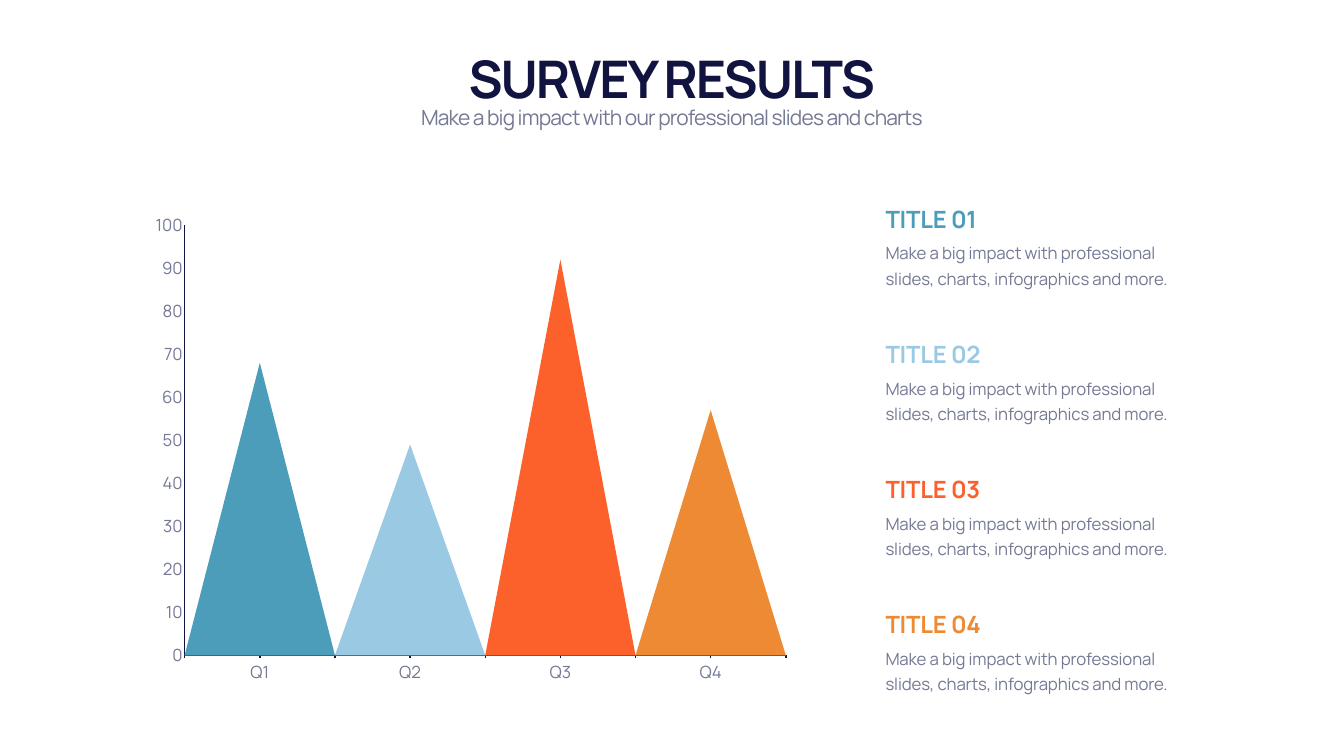
from lxml import etree
from pptx import Presentation
from pptx.chart.data import CategoryChartData
from pptx.dml.color import RGBColor
from pptx.enum.chart import XL_CHART_TYPE as ChartType, XL_TICK_MARK as TickMark
from pptx.enum.text import MSO_ANCHOR as Anchor, MSO_AUTO_SIZE as AutoSize, PP_ALIGN as Align
from pptx.oxml.ns import qn
from pptx.util import Cm, Pt

FONT = "Manrope"
NAVY, GREY = "111340", "747994"

HEADING = "SURVEY RESULTS"
SUBHEADING = "Make a big impact with our professional slides and charts"
DESCRIPTION = "Make a big impact with professional slides, charts, infographics and more."
# (category, value, colour, title)
QUARTERS = [
    ("Q1", 68, "4B9DB9", "TITLE 01"),
    ("Q2", 49, "9AC9E3", "TITLE 02"),
    ("Q3", 92, "FC612B", "TITLE 03"),
    ("Q4", 57, "ED8A33", "TITLE 04"),
]

HEADER_LEFT, HEADER_WIDTH = 4.22, 59.26
LEGEND_LEFT, LEGEND_TOP, LEGEND_WIDTH, LEGEND_PITCH = 44.37, 10.06, 16.23, 6.81
CHART_BOX = (7.19, 10.29, 33.07, 24.66)
PLOT_LAYOUT = {"x": 0.064, "y": 0.043, "w": 0.916, "h": 0.879}  # fractions of the chart


def rgb(colour):
    return RGBColor.from_string(colour)


def style_font(font, size, colour, bold=False):
    font.name, font.size, font.bold = FONT, Pt(size), bold
    font.color.rgb = rgb(colour)


def add_text(slide, text, box, *, size, colour=GREY, bold=False, spacing=0,
             align=Align.LEFT, anchor=Anchor.TOP, line=None, inset=0):
    """Add a text box; box is in cm, spacing and line are in points."""
    frame = slide.shapes.add_textbox(*map(Cm, box)).text_frame
    frame.word_wrap = True
    frame.auto_size = AutoSize.SHAPE_TO_FIT_TEXT
    frame.vertical_anchor = anchor
    frame.margin_top = frame.margin_bottom = Cm(inset)
    paragraph = frame.paragraphs[0]
    paragraph.alignment = align
    if line:
        paragraph.line_spacing = Pt(line)
    run = paragraph.add_run()
    run.text = text
    style_font(run.font, size, colour, bold)
    run.font._element.set("spc", str(round(spacing * 100)))


def set_plot_layout(chart):
    """Fix the inner plot area as fractions of the chart."""
    plot_area = chart._chartSpace.chart.plotArea
    for old in plot_area.findall(qn("c:layout")):
        plot_area.remove(old)
    layout = etree.Element(qn("c:layout"))
    manual = etree.SubElement(layout, qn("c:manualLayout"))
    settings = {"layoutTarget": "inner", "xMode": "edge", "yMode": "edge", **PLOT_LAYOUT}
    for name, value in settings.items():
        etree.SubElement(manual, qn(f"c:{name}")).set("val", str(value))
    plot_area.insert(0, layout)


def add_peaks_chart(slide):
    """Area chart with one peak per quarter, falling to zero between quarters."""
    data = CategoryChartData()
    data.categories = [""] + [label for quarter in QUARTERS for label in (quarter[0], "")]
    for index, (_, value, _, _) in enumerate(QUARTERS):
        values = [0] * (2 * len(QUARTERS) + 1)
        values[2 * index + 1] = value
        data.add_series(f"Series {index + 1}", values)

    chart = slide.shapes.add_chart(ChartType.AREA, *map(Cm, CHART_BOX), data).chart
    chart.has_legend = chart.has_title = False
    style_font(chart.font, 24, GREY)
    for series, (_, _, colour, _) in zip(chart.plots[0].series, QUARTERS):
        series.format.fill.solid()
        series.format.fill.fore_color.rgb = rgb(colour)
        series.format.line.fill.background()

    for axis, tick in ((chart.category_axis, TickMark.OUTSIDE), (chart.value_axis, TickMark.NONE)):
        axis.major_tick_mark, axis.minor_tick_mark = tick, TickMark.NONE
        axis.has_major_gridlines = False
        axis.format.line.color.rgb = rgb(NAVY)
        axis.format.line.width = Pt(2)
        style_font(axis.tick_labels.font, 24, GREY)
    value_axis = chart.value_axis
    value_axis.minimum_scale, value_axis.maximum_scale, value_axis.major_unit = 0, 100, 10
    for cross in value_axis._element.findall(qn("c:crossBetween")):
        cross.set("val", "midCat")
    set_plot_layout(chart)


def main():
    presentation = Presentation()
    presentation.slide_width, presentation.slide_height = Cm(67.72), Cm(38.1)
    slide = presentation.slides.add_slide(presentation.slide_layouts[6])

    add_text(slide, HEADING, (HEADER_LEFT, 2.08, HEADER_WIDTH, 3.43), size=74, colour=NAVY,
             bold=True, spacing=-2.9, align=Align.CENTER, anchor=Anchor.BOTTOM)
    add_text(slide, SUBHEADING, (HEADER_LEFT, 5.26, HEADER_WIDTH, 1.55), size=30,
             spacing=-1.2, align=Align.CENTER)
    for index, (_, _, colour, title) in enumerate(QUARTERS):
        top = LEGEND_TOP + index * LEGEND_PITCH
        add_text(slide, title, (LEGEND_LEFT, top, LEGEND_WIDTH, 1.7), size=34, colour=colour,
                 bold=True, spacing=-0.3, anchor=Anchor.BOTTOM)
        add_text(slide, DESCRIPTION, (LEGEND_LEFT, top + 1.82, LEGEND_WIDTH, 2.77), size=24,
                 spacing=-0.2, line=36, inset=0.12)
    add_peaks_chart(slide)
    presentation.save("out.pptx")


if __name__ == "__main__":
    main()
